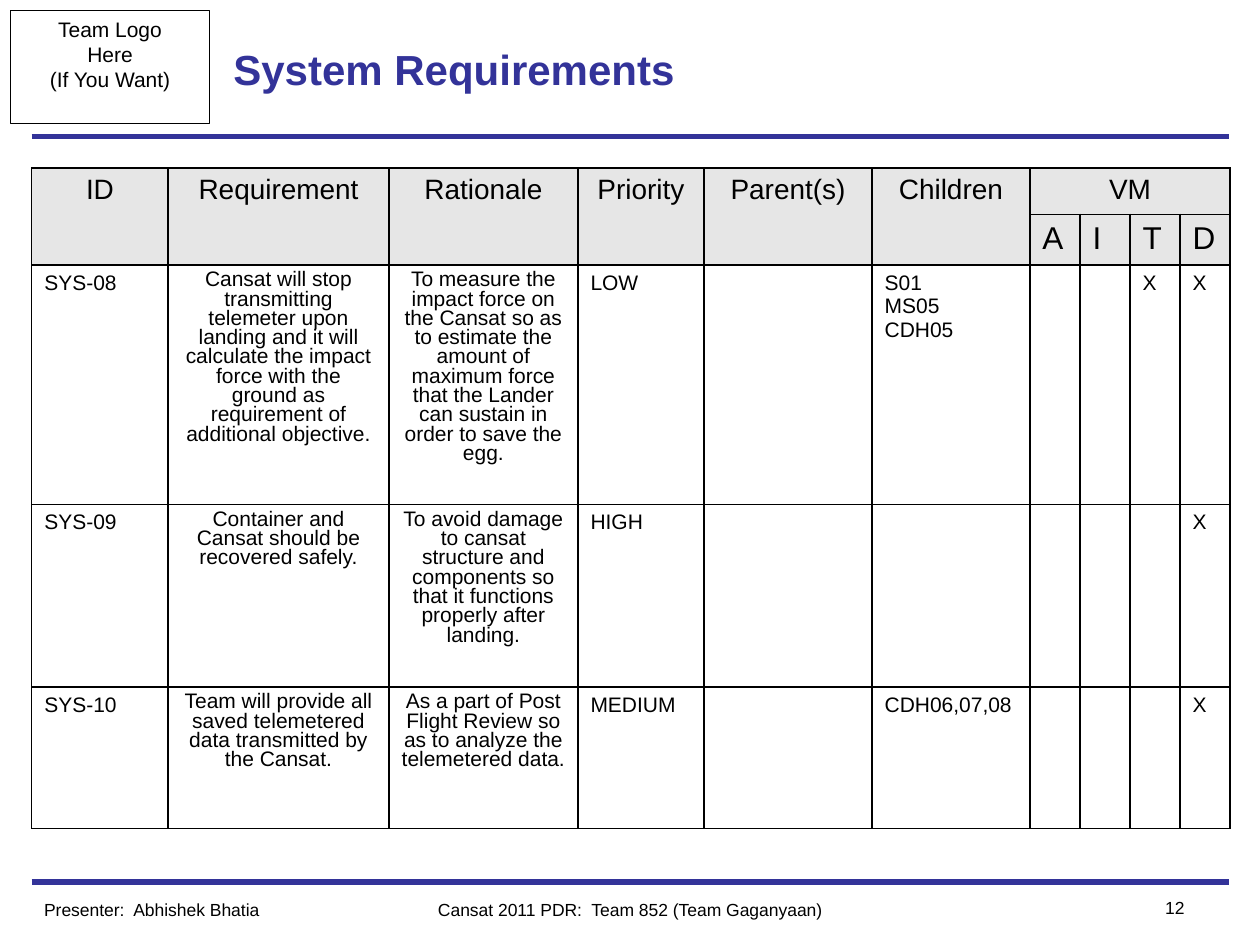
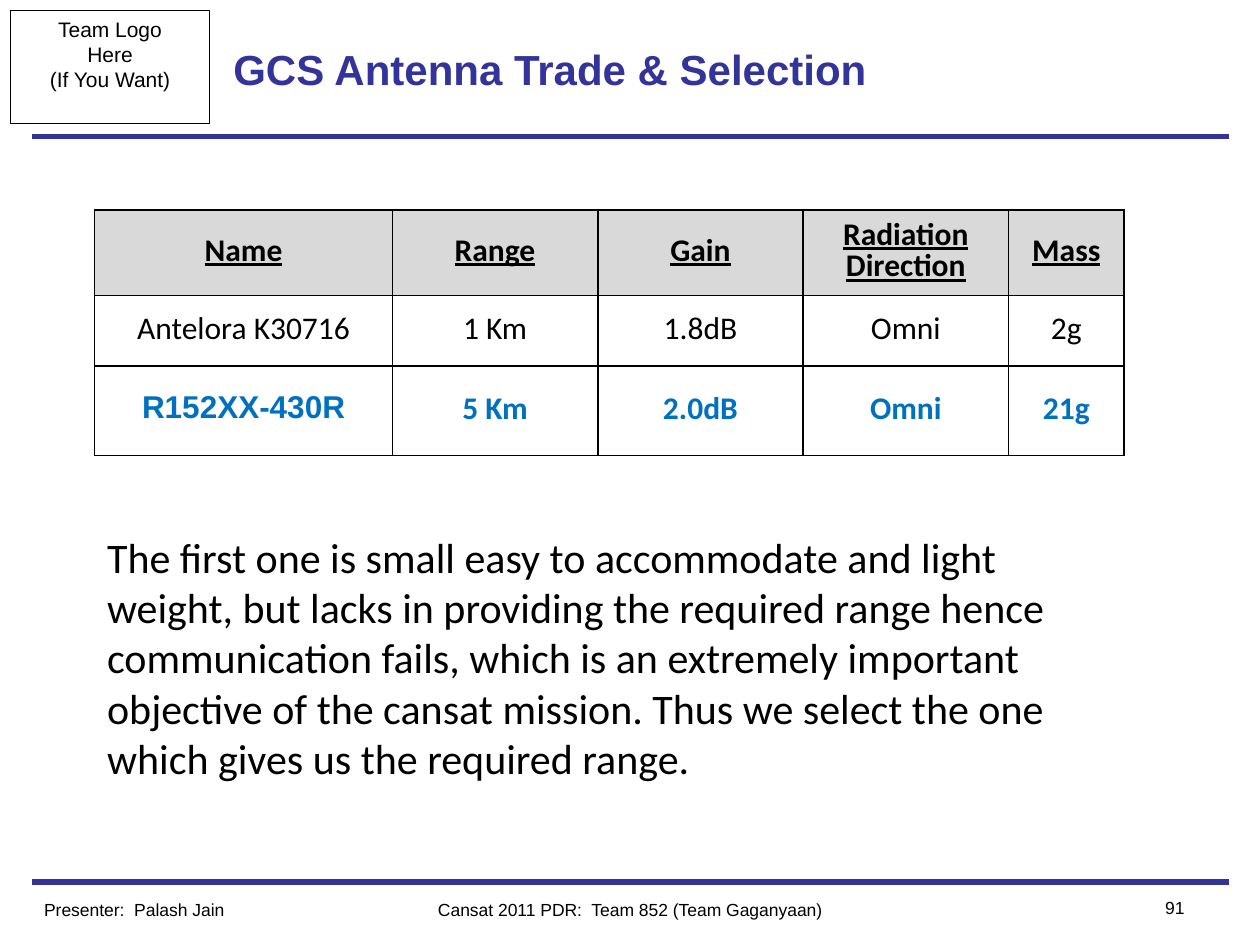
import pptx
import pptx.dml.color
import pptx.enum.shapes
import pptx.enum.text
import pptx.oxml
import pptx.oxml.ns
import pptx.util
from pptx.util import Cm

COLORS = {
    "ink": "000000",
    "navy": "333399",
    "selected": "0070C0",
    "requirement_head": "E6E6E6",
    "trade_head": "D9D9D9",
}
ALIGN = pptx.enum.text.PP_ALIGN
ANCHOR = pptx.enum.text.MSO_ANCHOR


def rgb(color):
    return pptx.dml.color.RGBColor.from_string(COLORS[color])


def text_format(size, color="ink", align=ALIGN.LEFT, spacing=None, **font):
    """Split a text style into font, paragraph and colour values."""
    return {
        "font": {"name": "Arial", "size": pptx.util.Pt(size), **font},
        "paragraph": {"alignment": align, "line_spacing": spacing},
        "color": color,
    }


FORMATS = {
    "title": text_format(24, "navy", bold=True),
    "logo": text_format(12, align=ALIGN.CENTER),
    "footer": text_format(10),
    "footer_center": text_format(10, align=ALIGN.CENTER),
    "footer_right": text_format(10, align=ALIGN.RIGHT),
    "conclusion": text_format(24, name="Calibri"),
    "head": text_format(16, align=ALIGN.CENTER),
    "method": text_format(18),
    "entry": text_format(12),
    "prose": text_format(12, align=ALIGN.CENTER, spacing=0.82),
    "trade_head": text_format(18, align=ALIGN.CENTER, spacing=0.82,
                              name="Calibri", bold=True, underline=True),
    "candidate": text_format(18, align=ALIGN.CENTER, spacing=0.82, name="Calibri"),
    "selected": text_format(18, "selected", ALIGN.CENTER, 0.82,
                            name="Calibri", bold=True),
    "selected_name": text_format(18, "selected", ALIGN.CENTER, 0.82, bold=True),
}


def set_values(target, values):
    for attribute, value in values.items():
        setattr(target, attribute, value)


def write(frame, text, style):
    look = FORMATS[style]
    frame.text = text
    for paragraph in frame.paragraphs:
        set_values(paragraph, look["paragraph"])
        for run in paragraph.runs:
            set_values(run.font, look["font"])
            run.font.color.rgb = rgb(look["color"])


def add_borders(cell):
    properties = cell._tc.get_or_add_tcPr()
    for index, side in enumerate("LRTB"):
        properties.insert(index, pptx.oxml.parse_xml(
            f'<a:ln{side} {pptx.oxml.ns.nsdecls("a")} w="12700"><a:solidFill>'
            f'<a:srgbClr val="{COLORS["ink"]}"/></a:solidFill></a:ln{side}>'))


class ReviewDeck:
    def __init__(self):
        self.presentation = pptx.Presentation()
        self.presentation.slide_width = Cm(25.4)
        self.presentation.slide_height = Cm(19.05)
        self.slide = None

    def start_slide(self, title, presenter, number):
        """Add a slide with its rules, logo frame, title and footer."""
        layout = self.presentation.slide_layouts.get_by_name("Title Only")
        self.slide = self.presentation.slides.add_slide(layout)
        for height in (17.78, 2.75):
            self.rule(height)
        self.logo_frame()
        self.title(title)
        self.text("Cansat 2011 PDR:  Team 852 (Team Gaganyaan)",
                  (7.62, 17.99, 10.16, 0.69), "footer_center")
        self.text(number, (22.23, 17.96, 1.9, 0.69), "footer_right")
        self.text(f"Presenter:  {presenter}", (0.64, 17.99, 6.35, 0.69), "footer")

    def rule(self, height):
        rule = self.slide.shapes.add_connector(
            pptx.enum.shapes.MSO_CONNECTOR.STRAIGHT,
            Cm(0.64), Cm(height), Cm(24.77), Cm(height))
        rule.line.color.rgb = rgb("navy")
        rule.line.width = pptx.util.Pt(3)
        rule._element.spPr.append(
            pptx.oxml.parse_xml(f'<a:effectLst {pptx.oxml.ns.nsdecls("a")}/>'))

    def logo_frame(self):
        logo = self.slide.shapes.add_shape(
            pptx.enum.shapes.MSO_SHAPE.RECTANGLE, Cm(0.21), Cm(0.21), Cm(4.02), Cm(2.29))
        logo.shadow.inherit = False
        logo.fill.background()
        logo.line.color.rgb = rgb("ink")
        logo.line.width = pptx.util.Pt(0.5)
        set_values(logo.text_frame, {"word_wrap": False, "vertical_anchor": ANCHOR.TOP})
        write(logo.text_frame, "Team Logo\nHere\n(If You Want)", "logo")

    def title(self, text):
        title = self.slide.shapes.title
        set_values(title, {"left": Cm(4.45), "top": Cm(0.21),
                           "width": Cm(16.51), "height": Cm(2.33)})
        title.text_frame.vertical_anchor = ANCHOR.MIDDLE
        write(title.text_frame, text, "title")

    def text(self, text, box, style):
        frame = self.slide.shapes.add_textbox(*map(Cm, box)).text_frame
        frame.word_wrap = True
        write(frame, text, style)

    def table(self, corner, widths, heights, rows, style_of, head_rows, head_fill, cell_format):
        """Draw a bordered table; style_of gives the text style for a row and column."""
        table = self.slide.shapes.add_table(
            len(rows), len(widths), *map(Cm, corner),
            Cm(sum(widths)), Cm(sum(heights))).table
        set_values(table, {"first_row": False, "horz_banding": False})
        for column, width in zip(table.columns, widths):
            column.width = Cm(width)
        for r, (entries, height) in enumerate(zip(rows, heights)):
            table.rows[r].height = Cm(height)
            for c, entry in enumerate(entries):
                cell = table.cell(r, c)
                set_values(cell, cell_format)
                if r < head_rows:
                    cell.fill.solid()
                    cell.fill.fore_color.rgb = rgb(head_fill)
                else:
                    cell.fill.background()
                add_borders(cell)
                if entry:
                    write(cell.text_frame, entry, style_of(r, c))
        return table


def requirement_style(row, column):
    if row < 2:
        return ("head", "method")[row]
    return "prose" if column in (1, 2) else "entry"


def trade_style(row, column):
    if row == 2 and column == 0:
        return "selected_name"
    return ("trade_head", "candidate", "selected")[row]


def add_requirements(deck):
    deck.start_slide("System Requirements", "Abhishek Bhatia", "12")
    rows = [
        ["ID", "Requirement", "Rationale", "Priority", "Parent(s)", "Children",
         "VM", "", "", ""],
        [""] * 6 + list("AITD"),
        ["SYS-08",
         "Cansat will stop transmitting telemeter upon landing and it will calculate "
         "the impact force with the ground as requirement of additional objective.",
         "To measure the impact force on the Cansat so as to estimate the amount of "
         "maximum force that the Lander can sustain in order to save the egg.",
         "LOW", "", "S01\nMS05\nCDH05", "", "", "X", "X"],
        ["SYS-09", "Container and Cansat should be recovered safely.",
         "To avoid damage to cansat structure and components so that it functions "
         "properly after landing.",
         "HIGH", "", "", "", "", "", "X"],
        ["SYS-10", "Team will provide all saved telemetered data transmitted by the Cansat.",
         "As a part of Post Flight Review so as to analyze the telemetered data.",
         "MEDIUM", "", "CDH06,07,08", "", "", "", "X"],
    ]
    table = deck.table(
        (0.64, 3.39), [2.75, 4.45, 3.81, 2.54, 3.39, 3.18] + [1.01] * 4,
        [0.93, 1.02, 4.83, 3.68, 2.85], rows, requirement_style, 2, "requirement_head",
        {"vertical_anchor": ANCHOR.TOP})
    for column in range(6):
        table.cell(0, column).merge(table.cell(1, column))
    table.cell(0, 6).merge(table.cell(0, 9))


def add_antenna_trade(deck):
    deck.start_slide("GCS Antenna Trade & Selection", "Palash Jain", "91")
    rows = [
        ["Name", "Range", "Gain", "Radiation Direction", "Mass"],
        ["Antelora K30716", "1 Km", "1.8dB", "Omni", "2g"],
        ["R152XX-430R", "5 Km", "2.0dB", "Omni", "21g"],
    ]
    deck.table((1.91, 4.23), [6] + [4.14] * 3 + [2.33], [1.73, 1.42, 1.8],
               rows, trade_style, 1, "trade_head",
               {"vertical_anchor": ANCHOR.MIDDLE, "margin_top": Cm(0.08)})
    deck.text(
        "The first one is small easy to accommodate and light weight, but lacks in "
        "providing the required range hence communication fails, which is an extremely "
        "important objective of the cansat mission. Thus we select the one which gives "
        "us the required range.", (1.91, 10.58, 20.96, 5.38), "conclusion")


def main():
    deck = ReviewDeck()
    add_requirements(deck)
    add_antenna_trade(deck)
    deck.presentation.save("out.pptx")


if __name__ == "__main__":
    main()
